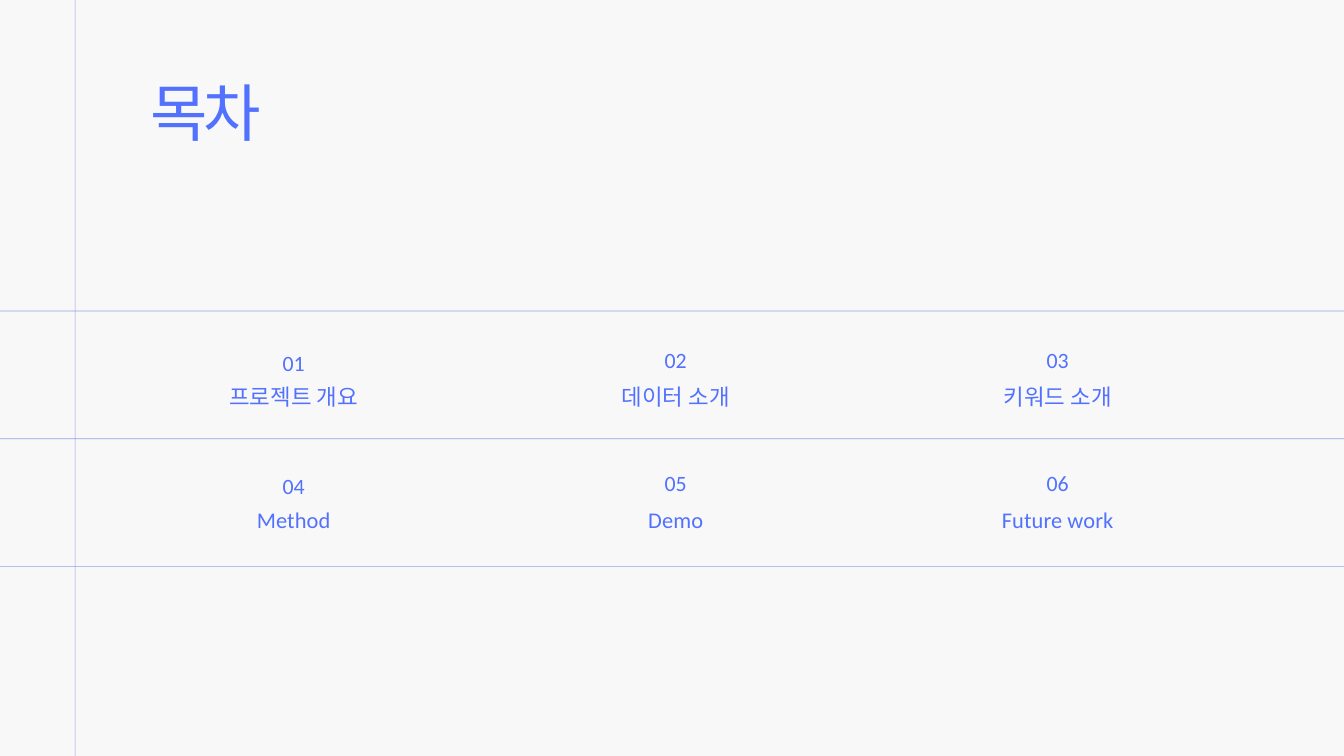
from pptx import Presentation
from pptx.dml.color import RGBColor
from pptx.enum import shapes, text
from pptx.oxml.ns import qn
from pptx.util import Cm, Pt
from lxml import etree

TITLE = "목차"
TOPICS = [
    ["프로젝트 개요", "데이터 소개", "키워드 소개"],
    ["Method", "Demo", "Future work"],
]
WIDTH, HEIGHT = 50.8, 28.58
BACKGROUND, BLUE, RULE = "F8F8F8", "5271FF", "6174D8"
FIRST_CENTER, COLUMN_STEP = 11.1, 14.44
ROW_STEP = 4.65
NUMBER_TOPS = [12.88, 12.8, 12.8]
LABEL_TOP = 14.17
RULE_TOP, RULE_STEP, RULE_COUNT = 11.76, 4.83, 3
MARGIN_X = 2.84


def color(value):
    return RGBColor.from_string(value)


def place(box, left, top, width, height):
    box.left, box.top, box.width, box.height = map(Cm, (left, top, width, height))


def write(box, words, font, size, line, tracking, align):
    frame = box.text_frame
    frame.word_wrap = True
    frame.auto_size = text.MSO_AUTO_SIZE.NONE
    frame.vertical_anchor = text.MSO_ANCHOR.TOP
    frame.margin_left = frame.margin_right = frame.margin_top = frame.margin_bottom = 0
    para = frame.paragraphs[0]
    para.alignment = align
    para.line_spacing = Pt(line)
    para.font.name, para.font.size = font, Pt(size)
    para.font.color.rgb = color(BLUE)
    span = para.add_run()
    span.text = words
    span._r.get_or_add_rPr().set("spc", str(tracking))


def add_entry(slide, words, center, top, width, height, size, line):
    box = slide.shapes.add_textbox(Cm(center - width / 2), Cm(top), Cm(width), Cm(height))
    write(box, words, "Calibri", size, line, 10, text.PP_ALIGN.CENTER)


def add_rule(slide, *ends):
    rule = slide.shapes.add_connector(shapes.MSO_CONNECTOR.STRAIGHT, *map(Cm, ends))
    rule.line.width = Pt(0.75)
    rule.line.color.rgb = color(RULE)
    tint = next(rule.line._ln.iter(qn("a:srgbClr")))
    etree.SubElement(tint, qn("a:alpha"), val="65000")
    etree.SubElement(rule._element.spPr, qn("a:effectLst"))


def main():
    deck = Presentation()
    deck.slide_width, deck.slide_height = Cm(WIDTH), Cm(HEIGHT)
    slide = deck.slides.add_slide(deck.slide_layouts[5])
    slide.background.fill.solid()
    slide.background.fill.fore_color.rgb = color(BACKGROUND)

    for index in range(RULE_COUNT):
        y = RULE_TOP + index * RULE_STEP
        add_rule(slide, 0, y, WIDTH, y)
    add_rule(slide, MARGIN_X, 0, MARGIN_X, HEIGHT)

    title = slide.shapes.title
    place(title, 5.7, 2.6, 13.5, 3.4)
    write(title, TITLE, "Arial", 66.9, 85.6, -470, text.PP_ALIGN.LEFT)

    for row, topics in enumerate(TOPICS):
        for column, topic in enumerate(topics):
            center = FIRST_CENTER + column * COLUMN_STEP
            shift = row * ROW_STEP
            number = f"{row * len(topics) + column + 1:02}"
            add_entry(slide, number, center, NUMBER_TOPS[column] + shift, 12.65, 1.25, 23.4, 37.2)
            add_entry(slide, topic, center, LABEL_TOP + shift, 7.87, 1.3, 24, 38.2)

    deck.save("out.pptx")


if __name__ == "__main__":
    main()
